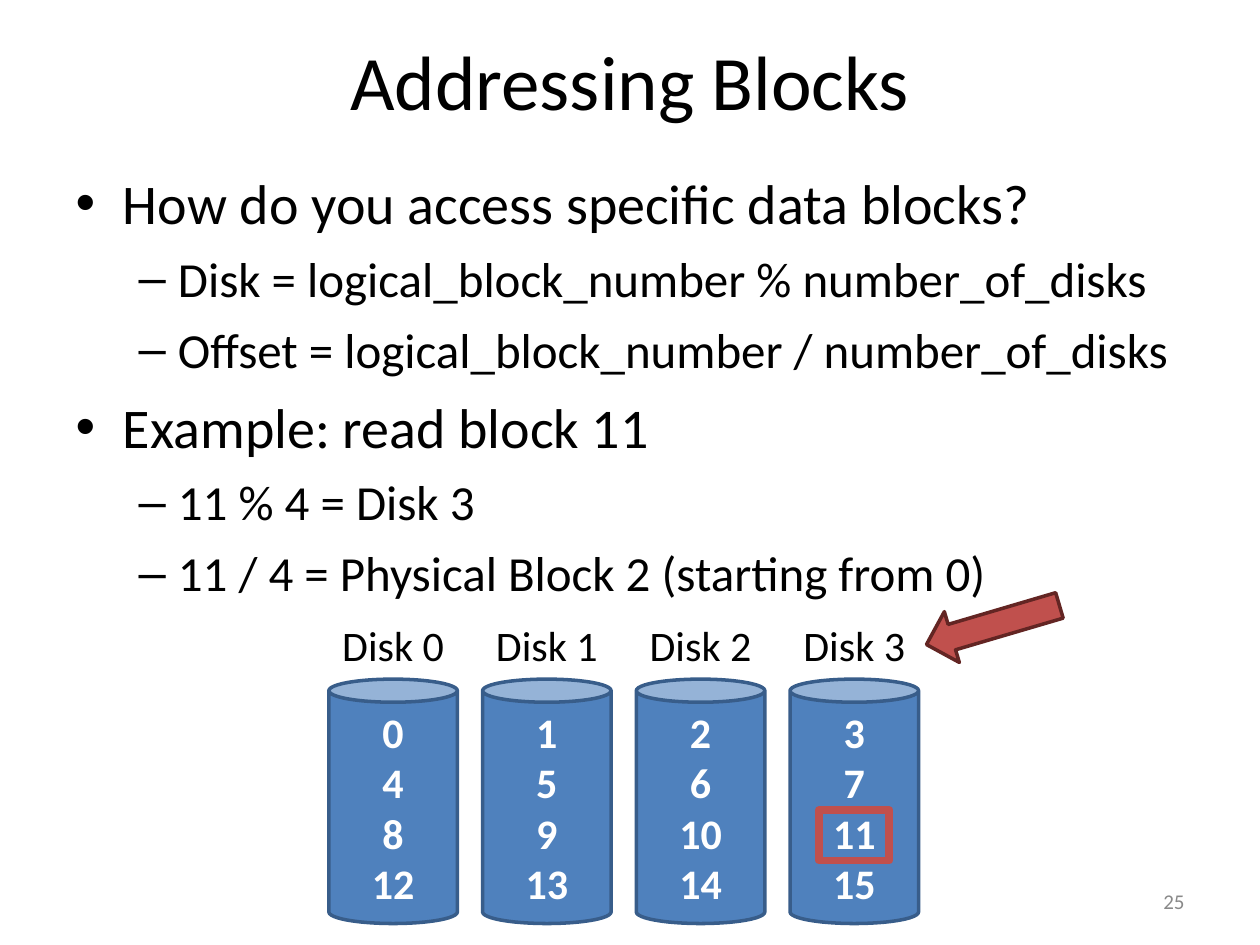
from pptx import Presentation
from pptx.dml.color import RGBColor
from pptx.enum import shapes, text
from pptx.util import Inches, Pt

# Content
TITLE = "Addressing Blocks"
POINTS = [
    (0, "How do you access specific data blocks?"),
    (1, "Disk = logical_block_number % number_of_disks"),
    (1, "Offset = logical_block_number / number_of_disks"),
    (0, "Example: read block 11"),
    (1, "11 % 4 = Disk 3"),
    (1, "11 / 4 = Physical Block 2 (starting from 0)"),
]
PAGE = "25"
DISKS, ROWS, TARGET = 4, 4, 11

# Style
COLORS = {"black": "000000", "white": "FFFFFF", "gray": "898989",
          "blue": "4F81BD", "navy": "385D8A",
          "red": "C0504D", "maroon": "632523"}
LEVELS = [(32, 8), (28, 7)]  # size, space before
ALIGN = text.PP_ALIGN
KIND = shapes.MSO_SHAPE

# Disk grid
LEFT, TOP, WIDE, HIGH, STEP = 2.61, 5.39, 1.02, 1.94, 1.22


def color(name):
    return RGBColor.from_string(COLORS[name])


def style(para, size, hue, align=None, bold=None):
    font = para.font
    font.name, font.size, font.bold = "Calibri", Pt(size), bold
    font.color.rgb = color(hue)
    para.alignment = align


def place(item, *box):
    item.left, item.top, item.width, item.height = map(Inches, box)


def label(slide, box, words, size, hue, align, wrap=True):
    frame = slide.shapes.add_textbox(*map(Inches, box)).text_frame
    frame.word_wrap = wrap
    frame.text = words
    style(frame.paragraphs[0], size, hue, align)
    return frame


def draw(slide, kind, box, fill, line, width):
    item = slide.shapes.add_shape(kind, *map(Inches, box))
    item.shadow.inherit = False
    if fill:
        item.fill.solid()
        item.fill.fore_color.rgb = color(fill)
    else:
        item.fill.background()
    item.line.color.rgb = color(line)
    item.line.width = Pt(width)
    return item


def main():
    deck = Presentation()
    deck.slide_width, deck.slide_height = Inches(10), Inches(7.5)
    slide = deck.slides.add_slide(deck.slide_layouts[1])

    # Title
    title = slide.shapes.title
    place(title, 0.5, 0.01, 9, 1.25)
    title.text_frame.text = TITLE
    style(title.text_frame.paragraphs[0], 44, "black", ALIGN.CENTER)

    # Bullets
    body = slide.placeholders[1]
    place(body, 0.5, 1.29, 9, 5.64)
    frame = body.text_frame
    frame.auto_size = text.MSO_AUTO_SIZE.NONE
    frame.text = "\n".join(words for _, words in POINTS)
    for i, (para, (level, _)) in enumerate(zip(frame.paragraphs, POINTS)):
        size, gap = LEVELS[level]
        para.level = level
        para.space_before = Pt(gap if i else 0)
        style(para, size, "black")

    # Page number
    page = label(slide, (7.17, 6.95, 2.33, 0.4), PAGE, 12, "gray", ALIGN.RIGHT)
    page.vertical_anchor = text.MSO_ANCHOR.MIDDLE

    # Disks with striped block numbers
    for disk in range(DISKS):
        x = LEFT + disk * STEP
        can = draw(slide, KIND.CAN, (x, TOP, WIDE, HIGH), "blue", "navy", 2)
        can.adjustments[0] = 0.18
        can.text_frame.text = "\n".join(
            str(disk + row * DISKS) for row in range(ROWS))
        for para in can.text_frame.paragraphs:
            style(para, 24, "white", ALIGN.CENTER, True)
        label(slide, (x, 4.87, WIDE, 0.5), f"Disk {disk}", 24, "black",
              ALIGN.CENTER, False)

    # Frame around the target block
    row, disk = divmod(TARGET, DISKS)
    mid = LEFT + disk * STEP + WIDE / 2
    draw(slide, KIND.RECTANGLE, (mid - 0.28, 5.63 + row * 0.4, 0.56, 0.4),
         None, "red", 4.5)

    # Arrow to the target disk
    arrow = draw(slide, KIND.RIGHT_ARROW, (7.33, 4.75, 1.1, 0.42),
                 "red", "maroon", 2)
    arrow.rotation = 163.6

    deck.save("out.pptx")


if __name__ == "__main__":
    main()
